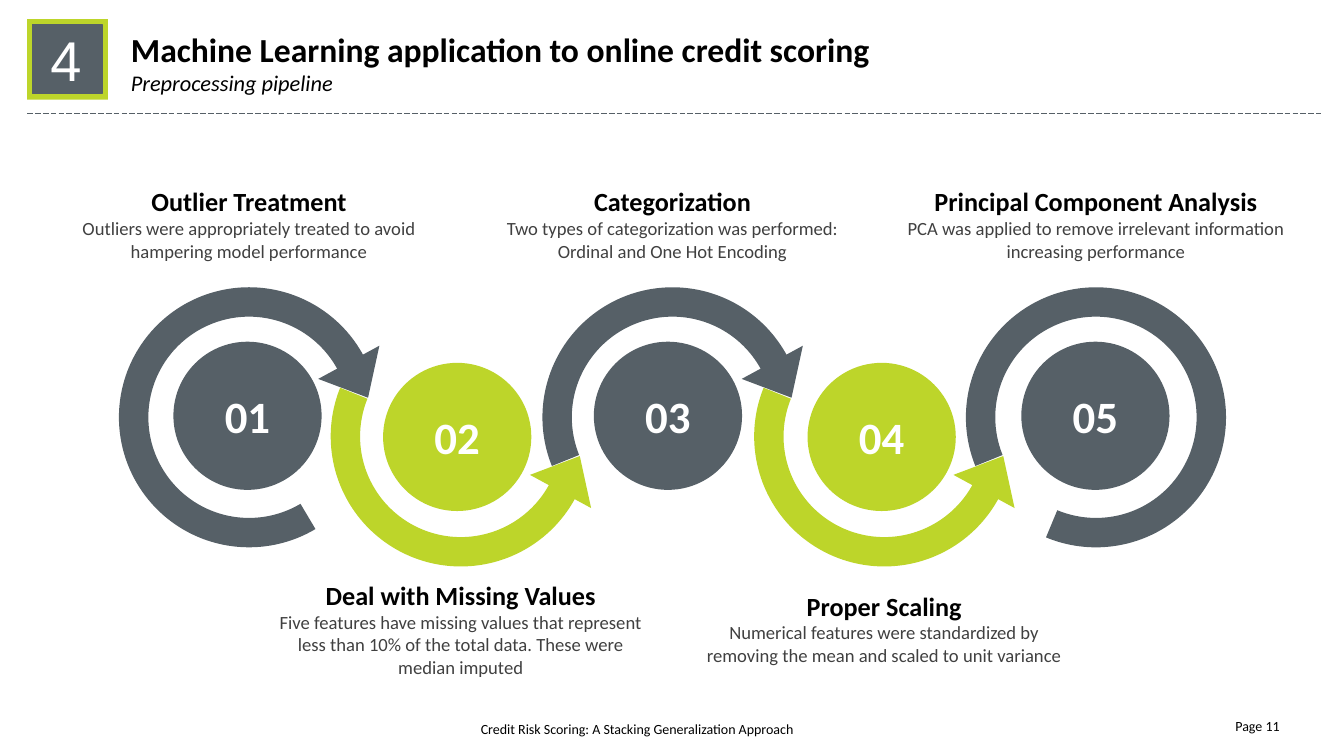
"""Build the preprocessing pipeline slide."""
from lxml import etree
from pptx import Presentation
from pptx import util as u
from pptx.dml.color import RGBColor
from pptx.enum import dml, shapes, text
from pptx.oxml.ns import qn

PX = 9144
SLATE, LIME, WHITE, BLACK, GREY = "566067", "BDD52A", "FFFFFF", "000000", "404040"
CENTER, RIGHT = text.PP_ALIGN.CENTER, text.PP_ALIGN.RIGHT
TOP, MIDDLE = text.MSO_ANCHOR.TOP, text.MSO_ANCHOR.MIDDLE
ARC, ARROW_WIDTH, ARROW_HEIGHT, DISC, STEP = 258, 69, 40, 147, 210
STEPS = [
    ("Outlier Treatment",
     "Outliers were appropriately treated to avoid hampering model performance",
     172, 184, 76, (35.56, 199.08)),
    ("Deal with Missing Values",
     "Five features have missing values that represent less than 10% of the total data. "
     "These were median imputed",
     380, 574, 99, (94.81, 199.08)),
    ("Categorization",
     "Two types of categorization was performed: Ordinal and One Hot Encoding",
     589, 184, 76, (94.81, 199.08)),
    ("Proper Scaling",
     "Numerical features were standardized by removing the mean and scaled to unit variance",
     801, 585, 76, (94.81, 199.08)),
    ("Principal Component Analysis",
     "PCA was applied to remove irrelevant information increasing performance",
     1013, 184, 76, (94.81, 67.55)),
]


def color(value):
    """Turn a hex string into a colour."""
    return RGBColor.from_string(value)


def emu(*lengths):
    """Turn lengths in px into EMU."""
    return [length * PX for length in lengths]


def add_span(para, words, size, fill=BLACK, font="Calibri", bold=False, italic=False):
    """Append one formatted run to a paragraph."""
    span = para.add_run()
    span.text = words
    span.font.size, span.font.name = u.Pt(size), font
    span.font.bold, span.font.italic = bold, italic
    span.font.color.rgb = color(fill)


def add_figure(page, kind, at, fill, rotation=0, flip=False, adjust=()):
    """Add a filled preset shape without outline or shadow."""
    figure = page.shapes.add_shape(kind, *emu(*at))
    figure.shadow.inherit = False
    figure.fill.solid()
    figure.fill.fore_color.rgb = color(fill)
    figure.line.fill.background()
    figure.rotation = rotation
    if flip:
        figure._element.spPr.find(qn("a:xfrm")).set("flipV", "1")
    for index, value in enumerate(adjust):
        figure.adjustments[index] = value
    return figure


def add_box(page, at, align=None, anchor=TOP, inset=True):
    """Add a wrapping text box and return its text frame."""
    frame = page.shapes.add_textbox(*emu(*at)).text_frame
    frame.word_wrap = True
    frame.vertical_anchor = anchor
    frame.paragraphs[0].alignment = align
    if not inset:
        frame.margin_left = frame.margin_right = 0
        frame.margin_top = frame.margin_bottom = 0
    return frame


def add_loop(page, index, angles):
    """Add the ring of a step, with an arrowhead unless it is the last."""
    lower = index % 2 == 1
    fill = LIME if lower else SLATE
    left, top = 118 + STEP * index, 304 if lower else 285
    add_figure(page, shapes.MSO_SHAPE.BLOCK_ARC, (left, top, ARC, ARC), fill,
               flip=lower, adjust=(*angles, 0.113))
    if index < len(STEPS) - 1:
        drop = ARC - 72 - ARROW_HEIGHT if lower else 72
        add_figure(page, shapes.MSO_SHAPE.ISOSCELES_TRIANGLE,
                   (left + 203, top + drop, ARROW_WIDTH, ARROW_HEIGHT), fill,
                   rotation=208.5 if lower else 151.5, flip=lower)


def add_disc(page, index, left):
    """Add the numbered circle of a step."""
    lower = index % 2 == 1
    disc = add_figure(page, shapes.MSO_SHAPE.OVAL,
                      (left, 360 if lower else 339, DISC, DISC), LIME if lower else SLATE)
    disc.text_frame.vertical_anchor = MIDDLE
    para = disc.text_frame.paragraphs[0]
    para.alignment = CENTER
    add_span(para, f"{index + 1:02}", 32, fill=WHITE, bold=True)


def add_caption(page, index, heading, detail, top, height):
    """Add the heading and explanation of a step."""
    frame = add_box(page, (58 + STEP * index, top, 378, height), CENTER, MIDDLE, inset=False)
    para = frame.paragraphs[0]
    para.space_after = u.Pt(12)
    add_span(para, heading, 18.7, bold=True)
    para.add_line_break()
    add_span(para, detail, 13.3, fill=GREY)


def add_header(page):
    """Add the section number, the title and the dashed rule."""
    add_figure(page, shapes.MSO_SHAPE.RECTANGLE, (27, 19, 80, 80), LIME)
    plate = add_figure(page, shapes.MSO_SHAPE.RECTANGLE, (32, 24, 69, 69), SLATE)
    plate.line.color.rgb = color(SLATE)
    plate.line.width = u.Pt(1)
    number = add_box(page, (46, 25, 39, 67), CENTER, inset=False)
    add_span(number.paragraphs[0], "4", 40, fill=WHITE, font="Arial")
    title = add_box(page, (120, 24, 774, 77))
    add_span(title.paragraphs[0], "Machine Learning application to online credit scoring",
             24, bold=True)
    add_span(title.add_paragraph(), "Preprocessing pipeline", 16, italic=True)
    rule = page.shapes.add_connector(shapes.MSO_CONNECTOR.STRAIGHT, *emu(27, 112, 1310, 112))
    rule.line.color.rgb = color(SLATE)
    rule.line.width = u.Pt(0.5)
    rule.line.dash_style = dml.MSO_LINE.LONG_DASH
    etree.SubElement(rule._element.spPr, qn("a:effectLst"))


def add_footer(page):
    """Add the deck name and the page number."""
    name = add_box(page, (467, 710, 338, 20))
    add_span(name.paragraphs[0], "Credit Risk Scoring: A Stacking Generalization Approach", 10)
    number = add_box(page, (941, 710, 338, 20), RIGHT, MIDDLE)
    add_span(number.paragraphs[0], "Page 11", 10)


def main():
    """Build and save the deck."""
    deck = Presentation()
    deck.slide_width, deck.slide_height = emu(1333, 750)
    page = deck.slides.add_slide(deck.slide_layouts[6])
    for index, step in enumerate(STEPS):
        add_loop(page, index, step[-1])
    for index, (heading, detail, left, top, height, _) in enumerate(STEPS):
        add_disc(page, index, left)
        add_caption(page, index, heading, detail, top, height)
    add_header(page)
    add_footer(page)
    deck.save("out.pptx")


if __name__ == "__main__":
    main()
